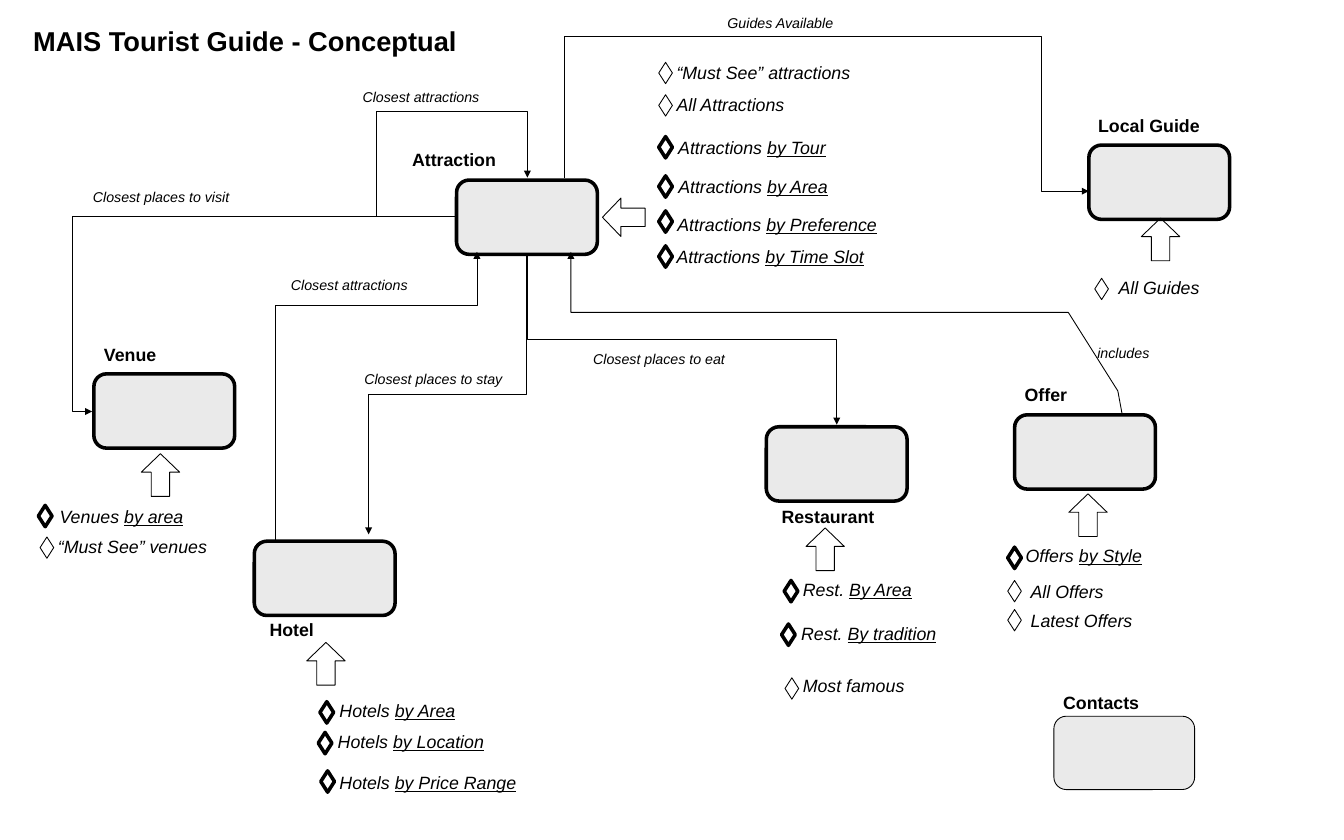
from pptx import Presentation
from pptx.dml.color import RGBColor as Rgb
from pptx.enum.shapes import MSO_CONNECTOR as Conn, MSO_SHAPE as Form
from pptx.enum.text import MSO_AUTO_SIZE as Auto, PP_ALIGN as Align
from pptx.oxml.ns import qn
from pptx.util import Inches, Pt
from lxml.etree import SubElement as Sub

COLS, ROWS = 63, 39.36
UNIT = Inches(0.25)
HUES = {"ink": "000000", "box": "EAEAEA", "mark": "FFFFFF"}
THIN, THICK = 0.75, 3
TEXTS = {
    "title": {"size": Pt(23), "bold": True},
    "label": {"size": Pt(15), "bold": True},
    "item": {"size": Pt(15), "italic": True},
    "note": {"size": Pt(12), "italic": True},
}

REGIONS = [
    ("Attraction", (21.4, 8.44, 6.6, 3.48), (-2.48, -1.68, 4.84), (6.84, 0.84, 180), THICK, [
        (9.48, -5.52, 0.44, -0.24, 10.28, "“Must See” attractions", ""),
        (9.48, -4, 0.44, -0.24, 6.56, "All Attractions", ""),
        (9.48, -2.04, 0.52, -0.2, 8.92, "Attractions ", "by Tour"),
        (9.48, -0.2, 0.52, -0.2, 9.56, "Attractions ", "by Area"),
        (9.48, 1.44, 0.48, -0.08, 11.48, "Attractions ", "by Preference"),
        (9.48, 3.08, 0.44, -0.2, 11.84, "Attractions ", "by Time Slot")]),
    ("Venue", (4.4, 17.52, 6.6, 3.48), (0.08, -1.6, 3.32), (2.12, 3.84, 270), THICK, [
        (-2.6, 6.16, 0.6, -0.2, 9.08, "Venues ", "by area"),
        (-2.52, 7.64, 0.44, -0.24, 10.28, "“Must See” venues", "")]),
    ("Hotel", (11.92, 25.36, 6.6, 3.48), (0.32, 3.44, 2.88), (2.36, 4.84, 270), THICK, [
        (3.08, 7.52, 0.52, -0.28, 8.12, "Hotels ", "by Area"),
        (3, 8.96, 0.52, -0.28, 8.12, "Hotels ", "by Location"),
        (3.12, 10.76, 0.48, -0.16, 10, "Hotels ", "by Price Range")]),
    ("Restaurant", (35.92, 20, 6.6, 3.48), (0.32, 3.48, 5.16), (1.76, 4.84, 270), THICK, [
        (0.84, 7.2, 0.48, -0.28, 6.56, "Rest. ", "By Area"),
        (0.72, 9.24, 0.52, -0.24, 8.44, "Rest. ", "By tradition"),
        (0.88, 11.76, 0.44, -0.32, 6.56, "Most famous", "")]),
    ("Offer", (47.56, 19.44, 6.6, 3.48), (0.08, -1.64, 2.8), (2.44, 3.8, 270), THICK, [
        (-0.32, 6.2, 0.44, -0.32, 6.56, "Offers ", "by Style"),
        (-0.32, 7.76, 0.68, -0.2, 6.56, "All Offers", ""),
        (-0.32, 9.12, 0.68, -0.2, 6.56, "Latest Offers", "")]),
    ("Local Guide", (51.04, 6.8, 6.6, 3.48), (0.04, -1.6, 5.56), (2.36, 3.52, 270), THICK, [
        (0.28, 6.24, 0.72, -0.28, 6.56, "All Guides", "")]),
    ("Contacts", (49.4, 33.56, 6.6, 3.44), (0.04, -1.36, 4.36), None, THIN, []),
]
BENDS = [
    ((14.4, 14.76, 13.16, 7.4), 90, "", "bentConnector3", [50]),
    ((28, 8.68, 7.96, 14.48), 270, "h", "bentConnector3", [50]),
    ((21.32, 8.32, 3.4, 1.84), 180, "h", "bentConnector4", [-108.2, 269.4]),
    ((4.32, 10.16, 17, 9.12), 180, "v", "bentConnector3", [105.4]),
]
PATHS = [
    [(12.92, 25.36), (12.92, 14.32), (22.36, 14.32), (22.36, 11.8)],
    [(52.6, 19.4), (52.4, 18.32), (50.08, 14.64), (26.76, 14.64), (26.76, 11.8)],
    [(26.44, 8.36), (26.44, 1.72), (48.84, 1.72), (48.84, 8.96), (51.04, 8.96)],
]
NOTES = [
    ("Closest places to eat", 27.4, 16.24, 7),
    ("Closest places to stay", 16.68, 17.16, 7.28),
    ("Closest attractions", 16.6, 3.92, 6.28),
    ("Closest places to visit", 3.96, 8.64, 7.2),
    ("Closest attractions", 13.24, 12.76, 6.28),
    ("includes", 51.04, 15.92, 3.24),
    ("Guides Available", 33.68, 0.48, 5.8),
]


def emu(*vals):
    return [round(val * UNIT) for val in vals]


def hue(key):
    return Rgb.from_string(HUES[key])


def ink(line, width):
    line.color.rgb = hue("ink")
    line.width = Pt(width)


def shape(slide, form, box, width, fill=None, turn=0, adjs=()):
    item = slide.shapes.add_shape(form, *emu(*box))
    item.shadow.inherit = False
    item.rotation = turn
    for num, val in enumerate(adjs):
        item.adjustments[num] = val
    if fill:
        item.fill.solid()
        item.fill.fore_color.rgb = hue(fill)
    else:
        item.fill.background()
    ink(item.line, width)


def text(slide, box, kind, *parts, wrap=False, align=Align.LEFT):
    frame = slide.shapes.add_textbox(*emu(*box)).text_frame
    frame.word_wrap = wrap
    frame.auto_size = Auto.SHAPE_TO_FIT_TEXT
    para = frame.paragraphs[0]
    para.alignment = align
    for num, part in enumerate(parts):
        if part:
            run = para.add_run()
            run.text = part
            style = {"name": "Arial", **TEXTS[kind], "underline": num > 0}
            for key, val in style.items():
                setattr(run.font, key, val)
            run.font.color.rgb = hue("ink")


def region(slide, name, box, label, arrow, width, items):
    left, top = box[:2]
    shape(slide, Form.ROUNDED_RECTANGLE, box, width, "box", adjs=[0.17])
    dx, dy, wide = label
    text(slide, (left + dx, top + dy, wide, 1.4), "label", name)
    if arrow:
        dx, dy, turn = arrow
        shape(slide, Form.RIGHT_ARROW, (left + dx, top + dy, 2, 1.8), THIN,
              turn=turn, adjs=[0.48, 0.48])
    for dx, dy, gap, rise, wide, lead, key in items:
        x, y = left + dx, top + dy
        shape(slide, Form.DIAMOND, (x, y, 0.64, 1), THICK if key else THIN, "mark")
        text(slide, (x + gap, y + rise, wide, 1.4), "item", lead, key, wrap=True)


def tip(item):
    ink(item.line, THIN)
    Sub(item.line._get_or_add_ln(), qn("a:tailEnd"), type="triangle")


def bend(slide, box, turn, flip, kind, adjs):
    x, y, wide, high = box
    xs, ys = [x, x + wide], [y, y + high]
    if flip == "h":
        xs.reverse()
    if flip == "v":
        ys.reverse()
    link = slide.shapes.add_connector(Conn.ELBOW, *emu(xs[0], ys[0], xs[1], ys[1]))
    props = link._element.spPr
    props.find(qn("a:xfrm")).set("rot", str(turn * 60000))
    geom = props.find(qn("a:prstGeom"))
    geom.set("prst", kind)
    guides = geom.find(qn("a:avLst"))
    if guides is None:
        guides = Sub(geom, qn("a:avLst"))
    for num, val in enumerate(adjs, 1):
        Sub(guides, qn("a:gd"), name=f"adj{num}", fmla=f"val {round(val * 1000)}")
    tip(link)
    Sub(props, qn("a:effectLst"))


def route(slide, points):
    spots = [emu(*point) for point in points]
    pen = slide.shapes.build_freeform(*spots[0])
    pen.add_line_segments(spots[1:], close=False)
    item = pen.convert_to_shape()
    item.shadow.inherit = False
    item.fill.background()
    tip(item)


def main():
    deck = Presentation()
    deck.slide_width, deck.slide_height = emu(COLS, ROWS)
    slide = deck.slides.add_slide(deck.slide_layouts[6])
    text(slide, (1.16, 0.92, 20.76, 1.96), "title", "MAIS Tourist Guide - Conceptual")
    for data in REGIONS:
        region(slide, *data)
    for data in BENDS:
        bend(slide, *data)
    for points in PATHS:
        route(slide, points)
    for name, x, y, wide in NOTES:
        text(slide, (x, y, wide, 1.2), "note", name, align=Align.CENTER)
    deck.save("out.pptx")


if __name__ == "__main__":
    main()
